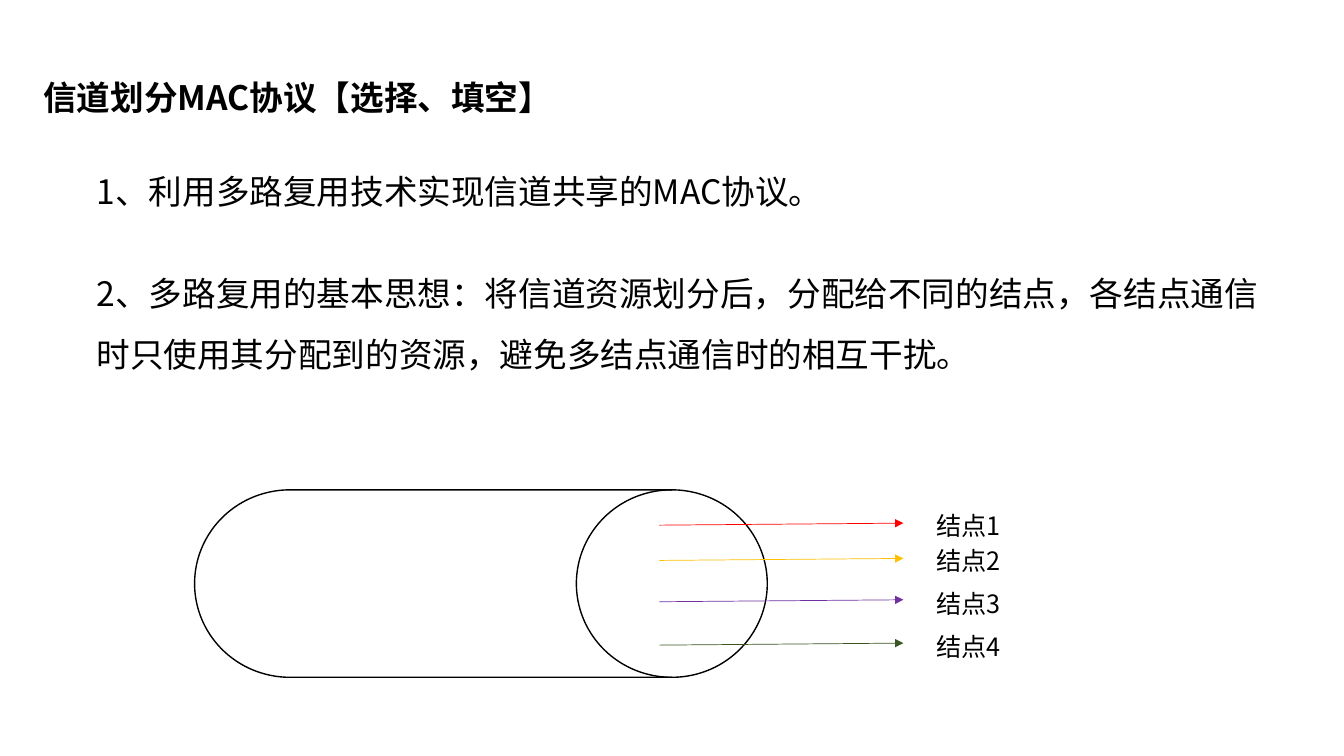
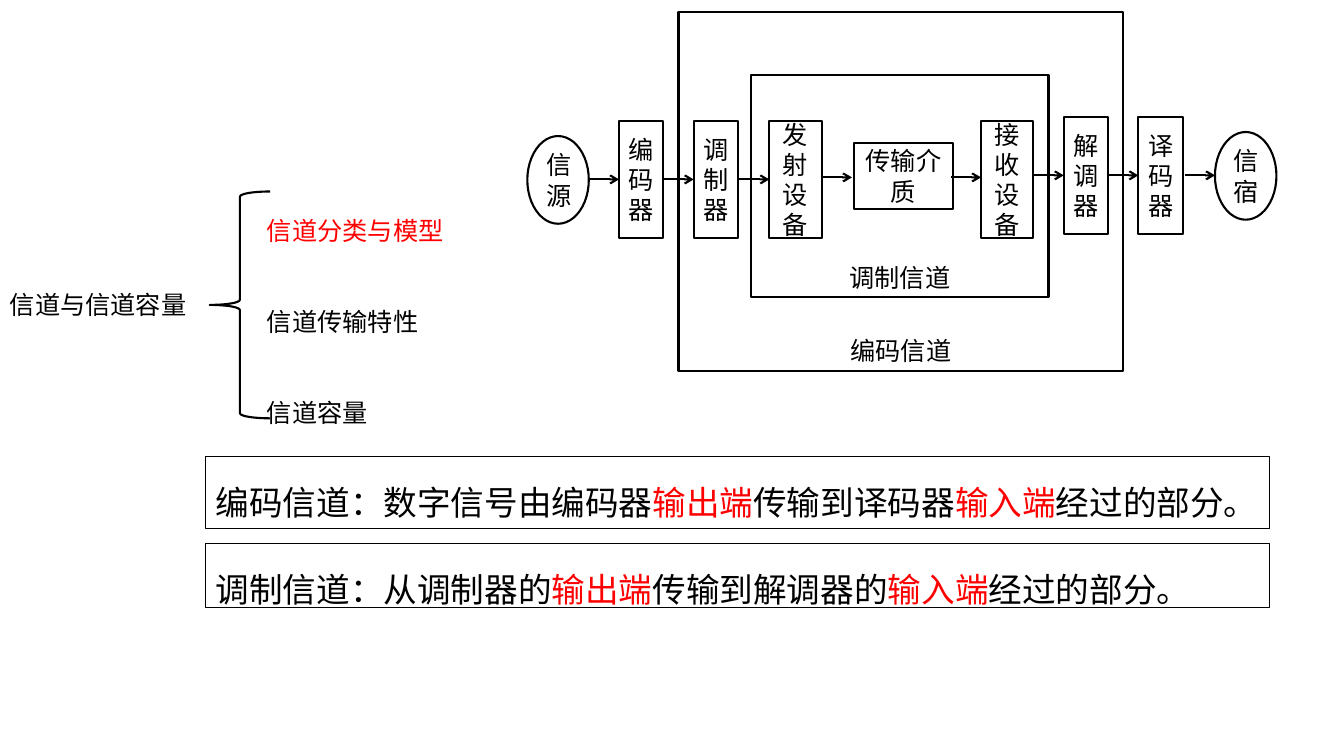
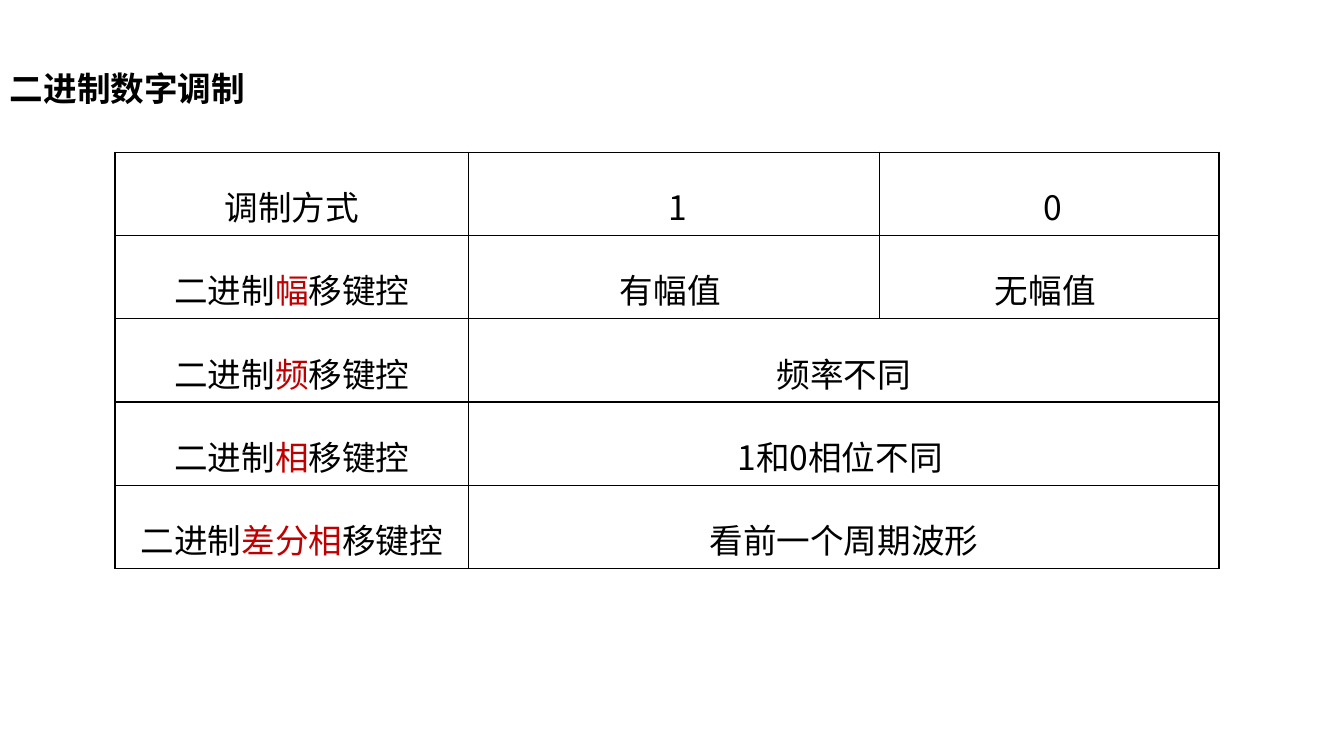
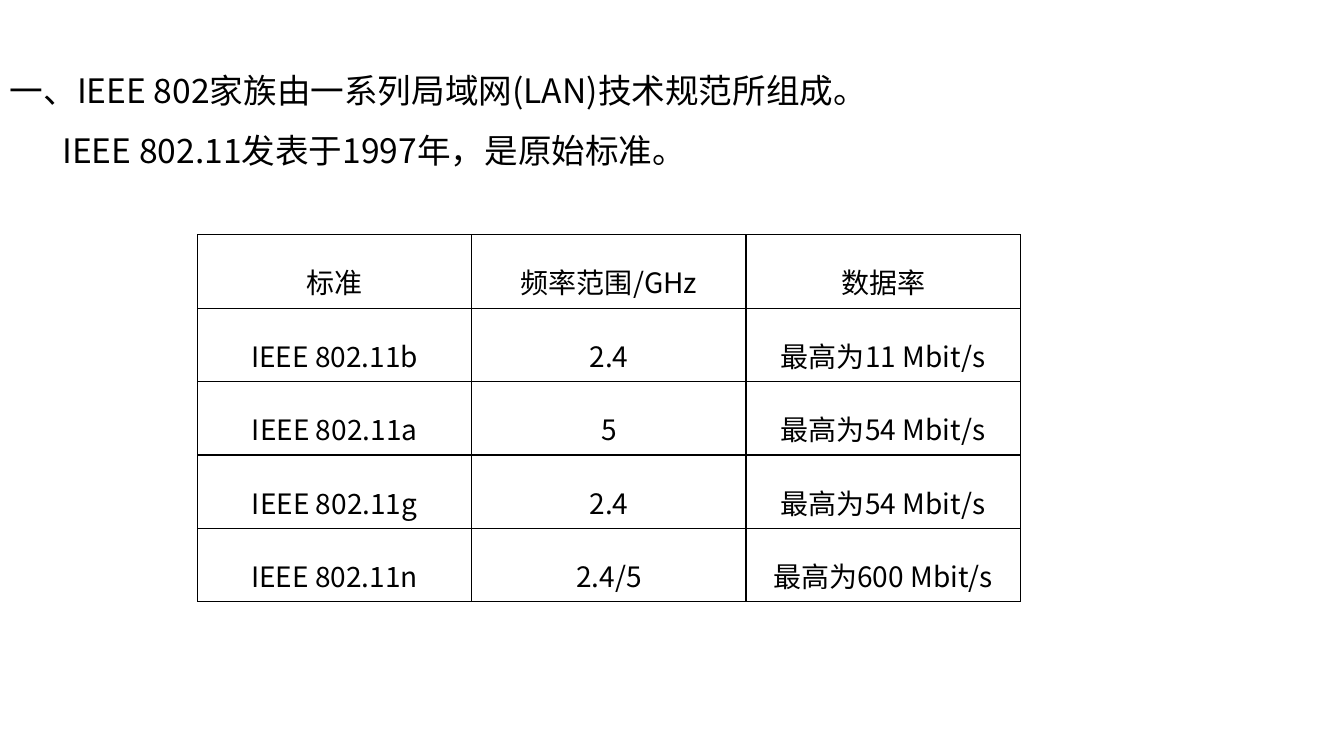
"""Build four slides on channels, modulation and network standards."""
from dataclasses import dataclass

from lxml.etree import SubElement
from pptx import Presentation
from pptx.dml.color import RGBColor
from pptx.enum.shapes import MSO_CONNECTOR, MSO_SHAPE
from pptx.enum.text import MSO_ANCHOR, PP_ALIGN
from pptx.oxml.ns import qn
from pptx.util import Inches, Pt


@dataclass(frozen=True)
class Theme:
    font: str = "Noto Sans CJK SC"
    ink: str = "000000"
    paper: str = "FFFFFF"
    red: str = "FF0000"
    dark_red: str = "C00000"
    yellow: str = "FFC000"
    purple: str = "7030A0"
    green: str = "385723"
    body: int = 24
    cell: int = 20
    label: int = 18
    spacing: float = 1.5


theme = Theme()


def write(text_frame, text, size=theme.body, spacing=theme.spacing, align=PP_ALIGN.LEFT,
          anchor=MSO_ANCHOR.TOP, bold=False, accent=theme.red):
    """Fill a text frame; stretches between bars take the accent colour."""
    text_frame.word_wrap = True
    text_frame.vertical_anchor = anchor
    text_frame.text = text
    for paragraph in text_frame.paragraphs:
        parts = paragraph.text.split("|")
        paragraph.clear()
        paragraph.alignment = align
        paragraph.line_spacing = spacing
        for index, part in enumerate(parts):
            if part:
                run = paragraph.add_run()
                run.text = part
                run.font.size = Pt(size)
                run.font.bold = bold
                run.font.name = theme.font
                run.font.color.rgb = RGBColor.from_string(accent if index % 2 else theme.ink)
                SubElement(run.font._element, qn("a:ea"), typeface=theme.font)


def add_arrow(slide, start, end, colour, width, head):
    """Draw a straight arrow between two points given in inches."""
    arrow = slide.shapes.add_connector(MSO_CONNECTOR.STRAIGHT, *map(Inches, start + end))
    arrow.line.color.rgb = RGBColor.from_string(colour)
    arrow.line.width = Pt(width)
    SubElement(arrow.line._get_or_add_ln(), qn("a:tailEnd"), type=head)
    SubElement(arrow._element.spPr, qn("a:effectLst"))
    return arrow


presentation = Presentation()
presentation.slide_width = Inches(13.33)
presentation.slide_height = Inches(7.5)
blank_layout = presentation.slide_layouts[6]
multiplexing, channel_model, modulation, standards = [
    presentation.slides.add_slide(blank_layout) for _ in range(4)]

title = multiplexing.shapes.add_textbox(*map(Inches, (0.31, 0.34, 6.99, 1.04)))
title.text_frame.margin_left = title.text_frame.margin_right = Inches(0.12)
write(title.text_frame, "信道划分MAC协议【选择、填空】", anchor=MSO_ANCHOR.MIDDLE, bold=True)

for top, height, text in (
    (1.45, 0.71, "1、利用多路复用技术实现信道共享的MAC协议。"),
    (2.46, 1.24, "2、多路复用的基本思想：将信道资源划分后，分配给不同的结点，"
                 "各结点通信时只使用其分配到的资源，避免多结点通信时的相互干扰。"),
):
    point = multiplexing.shapes.add_textbox(*map(Inches, (0.86, top, 11.77, height)))
    write(point.text_frame, text)

drum = multiplexing.shapes.add_shape(
    MSO_SHAPE.FLOWCHART_DIRECT_ACCESS_STORAGE, *map(Inches, (1.93, 4.86, 5.68, 1.86)))
drum.shadow.inherit = False
drum.fill.solid()
drum.fill.fore_color.rgb = RGBColor.from_string(theme.paper)
drum.line.color.rgb = RGBColor.from_string(theme.ink)
drum.line.width = Pt(1)

nodes = ((5.21, 4.86, theme.red), (5.56, 5.21, theme.yellow),
         (5.97, 5.64, theme.purple), (6.4, 6.06, theme.green))
for number, (arrow_top, label_top, colour) in enumerate(nodes, 1):
    add_arrow(multiplexing, (6.54, arrow_top), (8.96, arrow_top - 0.02), colour, 0.5, "triangle")
    label = multiplexing.shapes.add_textbox(*map(Inches, (9.19, label_top, 1.26, 0.5)))
    write(label.text_frame, f"结点{number}", theme.label)

for box, text, spacing in (
    ((0, 2.82, 2.11, 0.41), "信道与信道容量", 1.0),
    ((2.55, 1.49, 2.2, 2.83), "|信道分类与模型\n信道传输特性\n信道容量", 3.0),
):
    outline = channel_model.shapes.add_textbox(*map(Inches, box))
    write(outline.text_frame, text, theme.label, spacing)

centred = dict(size=theme.label, spacing=1.0, align=PP_ALIGN.CENTER, anchor=MSO_ANCHOR.MIDDLE)
framed = {**centred, "anchor": MSO_ANCHOR.BOTTOM}
model_shapes = {}
for kind, box, width, text, style in (
    (MSO_SHAPE.LEFT_BRACE, (2.08, 1.9, 0.6, 2.25), 1.5, "", {}),
    (MSO_SHAPE.RECTANGLE, (6.73, 0.12, 4.41, 3.56), 1.5, "编码信道", framed),
    (MSO_SHAPE.RECTANGLE, (7.45, 0.74, 2.95, 2.21), 1.5, "调制信道", framed),
    (MSO_SHAPE.OVAL, (5.23, 1.35, 0.61, 0.87), 1.5, "信源", centred),
    (MSO_SHAPE.RECTANGLE, (6.14, 1.2, 0.44, 1.16), 1.5, "编码器", centred),
    (MSO_SHAPE.RECTANGLE, (6.88, 1.2, 0.44, 1.16), 1.5, "调制器", centred),
    (MSO_SHAPE.RECTANGLE, (7.63, 1.2, 0.52, 1.16), 1.5, "发射设备", centred),
    (MSO_SHAPE.RECTANGLE, (8.47, 1.42, 0.98, 0.65), 1.5, "传输介质", centred),
    (MSO_SHAPE.RECTANGLE, (9.73, 1.2, 0.52, 1.16), 1.5, "接收设备", centred),
    (MSO_SHAPE.RECTANGLE, (10.55, 1.16, 0.44, 1.16), 1.5, "解调器", centred),
    (MSO_SHAPE.RECTANGLE, (11.29, 1.16, 0.44, 1.16), 1.5, "译码器", centred),
    (MSO_SHAPE.OVAL, (12.05, 1.31, 0.61, 0.87), 1.5, "信宿", centred),
    (MSO_SHAPE.RECTANGLE, (2.04, 4.53, 10.55, 0.71), 0.75,
     "编码信道：数字信号由编码器|输出端|传输到译码器|输入端|经过的部分。", {}),
    (MSO_SHAPE.RECTANGLE, (2.04, 5.39, 10.55, 0.64), 0.75,
     "调制信道：从调制器的|输出端|传输到解调器的|输入端|经过的部分。", {}),
):
    shape = channel_model.shapes.add_shape(kind, *map(Inches, box))
    shape.shadow.inherit = False
    shape.fill.background()
    shape.line.color.rgb = RGBColor.from_string(theme.ink)
    shape.line.width = Pt(width)
    if text:
        write(shape.text_frame, text, **style)
    model_shapes[text] = shape

for left, right, top, source, target in (
    (5.84, 6.14, 1.78, None, "编码器"),
    (6.58, 6.88, 1.78, "编码器", "调制器"),
    (7.32, 7.63, 1.78, "调制器", "发射设备"),
    (8.14, 8.45, 1.76, None, None),
    (9.43, 9.73, 1.76, None, None),
    (10.25, 10.55, 1.74, None, "解调器"),
    (10.99, 11.29, 1.74, "解调器", "译码器"),
    (11.75, 12.05, 1.74, None, None),
):
    arrow = add_arrow(channel_model, (left, top), (right, top), theme.ink, 1.5, "arrow")
    if source:
        arrow.begin_connect(model_shapes[source], 3)
    if target:
        arrow.end_connect(model_shapes[target], 1)

title = modulation.shapes.add_textbox(*map(Inches, (0, 0.51, 10.94, 0.57)))
write(title.text_frame, "二进制数字调制", spacing=Pt(37), bold=True)

introduction = standards.shapes.add_textbox(*map(Inches, (0, 0.44, 12.38, 1.31)))
write(introduction.text_frame, "一、IEEE 802家族由一系列局域网(LAN)技术规范所组成。\n"
                               "IEEE 802.11发表于1997年，是原始标准。")
second_line = introduction.text_frame.paragraphs[1]
second_line._p.get_or_add_pPr().set("marL", str(Inches(0.52)))

modulation_rows = (
    ("调制方式", " 1", " 0"),
    ("二进制|幅|移键控", "有幅值 ", "无幅值 "),
    ("二进制|频|移键控", "频率不同"),
    ("二进制|相|移键控", "1和0相位不同 "),
    ("二进制|差分相|移键控", "看前一个周期波形"),
)
standard_rows = (
    ("标准", "频率范围/GHz", "数据率"),
    ("IEEE 802.11b", "2.4", "最高为11 Mbit/s"),
    ("IEEE 802.11a", "5", "最高为54 Mbit/s"),
    ("IEEE 802.11g", "2.4", "最高为54 Mbit/s"),
    ("IEEE 802.11n", "2.4/5", "最高为600 Mbit/s"),
)
for slide, left, top, widths, height, size, anchor, rows in (
    (modulation, 1.14, 1.51, (3.51, 4.07, 3.37), 4.13, theme.body,
     MSO_ANCHOR.TOP, modulation_rows),
    (standards, 1.96, 2.33, (2.72,) * 3, 3.64, theme.cell,
     MSO_ANCHOR.MIDDLE, standard_rows),
):
    table = slide.shapes.add_table(len(rows), len(widths), *map(
        Inches, (left, top, sum(widths), height))).table
    table.first_row = table.horz_banding = False
    for column, width in zip(table.columns, widths):
        column.width = Inches(width)
    for row_index, texts in enumerate(rows):
        table.rows[row_index].height = Inches(height / len(rows))
        if len(texts) < len(widths):
            table.cell(row_index, 1).merge(table.cell(row_index, 2))
        for column_index, text in enumerate(texts):
            cell = table.cell(row_index, column_index)
            write(cell.text_frame, text, size, align=PP_ALIGN.CENTER, accent=theme.dark_red)
            cell.vertical_anchor = anchor
    for cell in table.iter_cells():
        properties = cell._tc.get_or_add_tcPr()
        for side in ("a:lnL", "a:lnR", "a:lnT", "a:lnB"):
            border = SubElement(properties, qn(side), w=str(Pt(1)))
            SubElement(SubElement(border, qn("a:solidFill")), qn("a:srgbClr"), val=theme.ink)
        cell.fill.background()

presentation.save("out.pptx")
